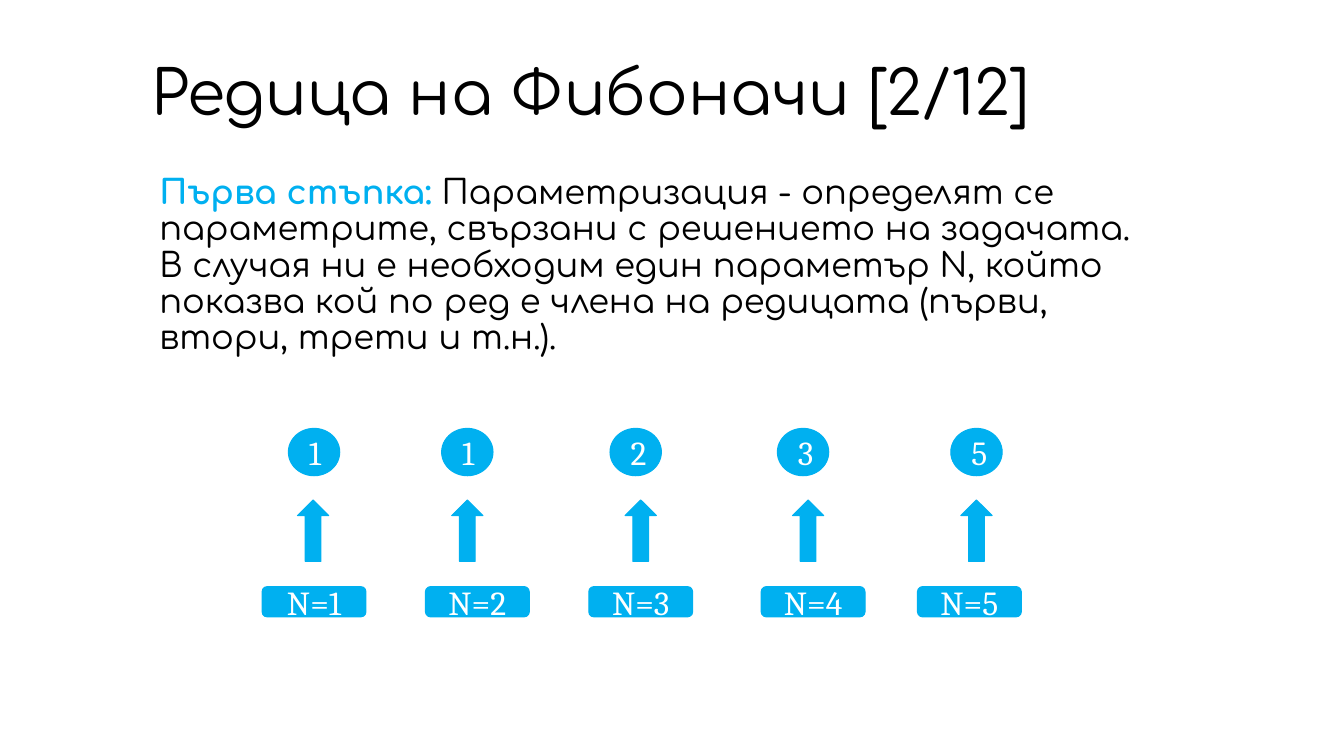
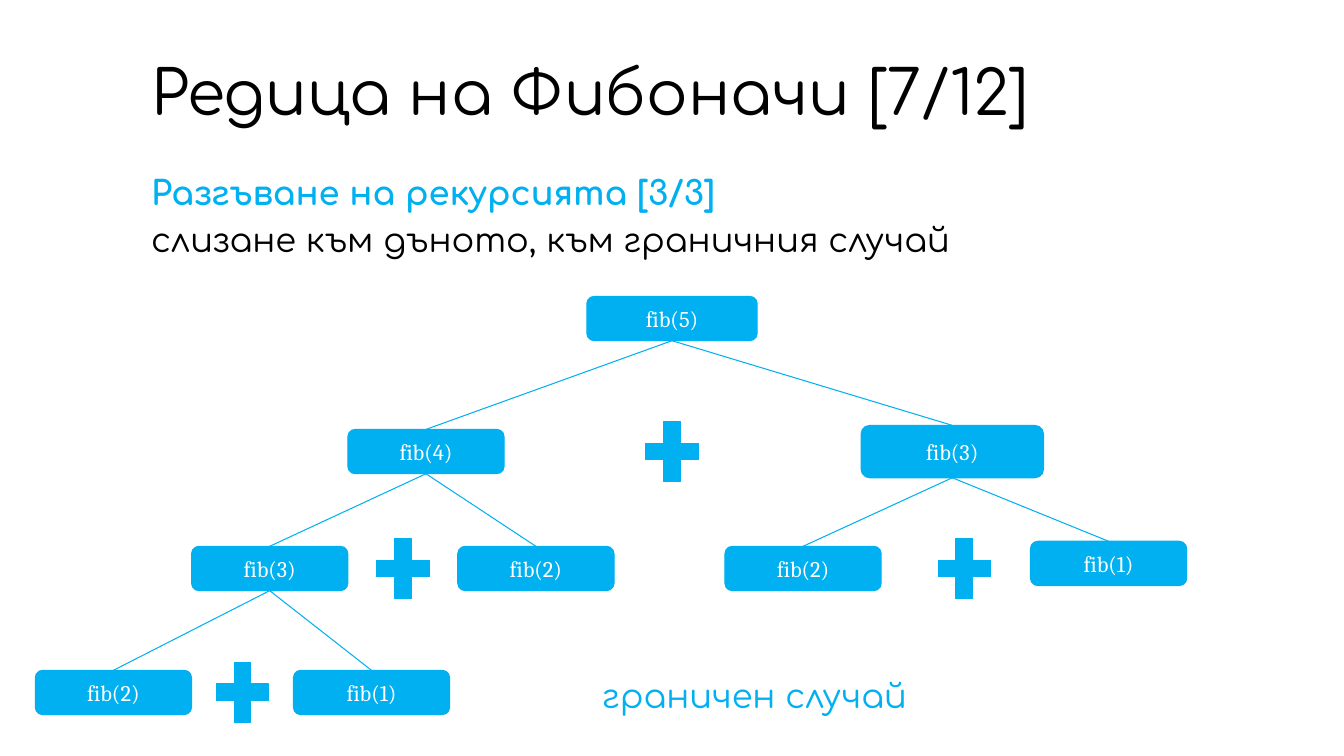
from dataclasses import dataclass
from typing import NamedTuple

from lxml import etree
from pptx import Presentation
from pptx.dml.color import RGBColor
from pptx.enum.shapes import MSO_CONNECTOR, MSO_SHAPE
from pptx.enum.text import MSO_ANCHOR, PP_ALIGN
from pptx.oxml.ns import qn
from pptx.util import Emu, Pt

ELLIPSE = MSO_SHAPE.OVAL
ROUNDED = MSO_SHAPE.ROUNDED_RECTANGLE
UP_ARROW = MSO_SHAPE.UP_ARROW
PLUS = MSO_SHAPE.MATH_PLUS
STRAIGHT = MSO_CONNECTOR.STRAIGHT
TOP, MIDDLE = MSO_ANCHOR.TOP, MSO_ANCHOR.MIDDLE
LEFT, CENTER, JUSTIFY = PP_ALIGN.LEFT, PP_ALIGN.CENTER, PP_ALIGN.JUSTIFY
BOTTOM_SITE, TOP_SITE = 2, 0


def px(length: int) -> Emu:
    """One px is a hundredth of an inch."""
    return Emu(length * 9144)


@dataclass(frozen=True)
class Theme:
    accent: RGBColor = RGBColor(0x00, 0xB0, 0xF0)
    ink: RGBColor = RGBColor(0x00, 0x00, 0x00)
    light: RGBColor = RGBColor(0xFF, 0xFF, 0xFF)
    text_font: str = "Comfortaa"
    shape_font: str = "Cambria"
    title_size: int = 44
    body_size: int = 24
    node_size: int = 16
    line_width: float = 0.75


THEME = Theme()


class Box(NamedTuple):
    left: int
    top: int
    width: int
    height: int


class Span(NamedTuple):
    text: str
    color: RGBColor = THEME.ink
    size: int = THEME.body_size
    bold: bool = False


class Term(NamedTuple):
    value: str
    circle_left: int
    arrow_left: int
    label_left: int


class Node(NamedTuple):
    label: str
    box: Box
    parent: int | None


TITLE_BOX = Box(138, 53, 1049, 84)
TEXT_INSETS = (12, 4)

# Sequence terms with the left edges of their circle, arrow and label
TERMS = [
    Term("1", 286, 295, 260),
    Term("1", 438, 448, 422),
    Term("2", 605, 620, 584),
    Term("3", 771, 786, 755),
    Term("5", 943, 953, 910),
]

# Call tree, each node pointing at the index of its parent
NODES = [
    Node("fib(5)", Box(582, 294, 169, 44), None),
    Node("fib(4)", Box(345, 426, 155, 44), 0),
    Node("fib(3)", Box(854, 422, 181, 52), 0),
    Node("fib(3)", Box(190, 542, 155, 44), 1),
    Node("fib(2)", Box(454, 542, 155, 44), 1),
    Node("fib(2)", Box(719, 542, 155, 44), 2),
    Node("fib(1)", Box(1022, 537, 155, 44), 2),
    Node("fib(2)", Box(35, 665, 155, 44), 3),
    Node("fib(1)", Box(291, 665, 155, 44), 3),
]
PLUS_CORNERS = [(631, 408), (364, 524), (921, 524), (205, 647)]


def set_insets(frame, horizontal: int, vertical: int) -> None:
    frame.margin_left = frame.margin_right = px(horizontal)
    frame.margin_top = frame.margin_bottom = px(vertical)


def set_font(font, name: str, size: int, color: RGBColor, bold: bool = False) -> None:
    font.name = name
    font.size = Pt(size)
    font.bold = bold
    font.color.rgb = color


def add_text(slide, box: Box, paragraphs: list[list[Span]], align=LEFT,
             spacing: float = 1.0, anchor=TOP, insets=TEXT_INSETS) -> None:
    frame = slide.shapes.add_textbox(*map(px, box)).text_frame
    frame.word_wrap = True
    frame.vertical_anchor = anchor
    set_insets(frame, *insets)
    for index, spans in enumerate(paragraphs):
        paragraph = frame.add_paragraph() if index else frame.paragraphs[0]
        paragraph.alignment = align
        paragraph.line_spacing = spacing
        for span in spans:
            run = paragraph.add_run()
            run.text = span.text
            set_font(run.font, THEME.text_font, span.size, span.color, span.bold)


def add_accent_shape(slide, kind, box: Box, text: str = "",
                     size: int = THEME.body_size, align=CENTER):
    shape = slide.shapes.add_shape(kind, *map(px, box))
    shape.shadow.inherit = False
    shape.fill.solid()
    shape.fill.fore_color.rgb = THEME.accent
    shape.line.color.rgb = THEME.accent
    shape.line.width = Pt(THEME.line_width)
    if text:
        frame = shape.text_frame
        frame.text = text
        frame.vertical_anchor = MIDDLE
        set_insets(frame, 13, 13)
        paragraph = frame.paragraphs[0]
        paragraph.alignment = align
        set_font(paragraph.runs[0].font, THEME.shape_font, size, THEME.light)
    return shape


def add_branch(slide, parent, child) -> None:
    branch = slide.shapes.add_connector(STRAIGHT, 0, 0, 0, 0)
    branch.begin_connect(parent, BOTTOM_SITE)
    branch.end_connect(child, TOP_SITE)
    branch.line.color.rgb = THEME.accent
    branch.line.width = Pt(THEME.line_width)
    etree.SubElement(branch._element.spPr, qn("a:effectLst"))


def add_titled_slide(presentation, number: int):
    slide = presentation.slides.add_slide(presentation.slide_layouts[6])
    title = Span(f"Редица на Фибоначи [{number}/12]", size=THEME.title_size)
    add_text(slide, TITLE_BOX, [[title]], spacing=0.9, anchor=MIDDLE)
    return slide


def build_parameter_slide(presentation) -> None:
    slide = add_titled_slide(presentation, 2)
    add_text(slide, Box(146, 170, 1010, 271), [[
        Span("Първа стъпка: ", THEME.accent, bold=True),
        Span("Параметризация - определят се параметрите, свързани с решението "
             "на задачата. В случая ни е необходим един параметър N, който "
             "показва кой по ред е члена на редицата (първи, втори, трети и т.н.)."),
    ]], spacing=0.9)
    # One column per term: value, arrow, parameter
    for number, term in enumerate(TERMS, start=1):
        add_accent_shape(slide, ELLIPSE, Box(term.circle_left, 425, 51, 47),
                         term.value, align=LEFT)
        add_accent_shape(slide, UP_ARROW, Box(term.arrow_left, 496, 31, 61))
        add_accent_shape(slide, ROUNDED, Box(term.label_left, 582, 103, 30),
                         f"N={number}")


def build_recursion_slide(presentation) -> None:
    slide = add_titled_slide(presentation, 7)
    add_text(slide, Box(138, 161, 1038, 380), [
        [Span("Разгъване на рекурсията [3/3]", THEME.accent, bold=True)],
        [Span("слизане към дъното, към граничния случай")],
    ], align=JUSTIFY, spacing=1.15)
    # Call tree
    shapes = []
    for node in NODES:
        shape = add_accent_shape(slide, ROUNDED, node.box, node.label, THEME.node_size)
        if node.parent is not None:
            add_branch(slide, shapes[node.parent], shape)
        shapes.append(shape)
    # Plus signs between sibling calls
    for left, top in PLUS_CORNERS:
        add_accent_shape(slide, PLUS, Box(left, top, 71, 80))
    add_text(slide, Box(505, 665, 487, 43),
             [[Span("граничен случай", THEME.accent)]], align=CENTER, insets=(10, 5))


def main() -> None:
    presentation = Presentation()
    presentation.slide_width, presentation.slide_height = px(1333), px(750)
    build_parameter_slide(presentation)
    build_recursion_slide(presentation)
    presentation.save("out.pptx")


if __name__ == "__main__":
    main()
